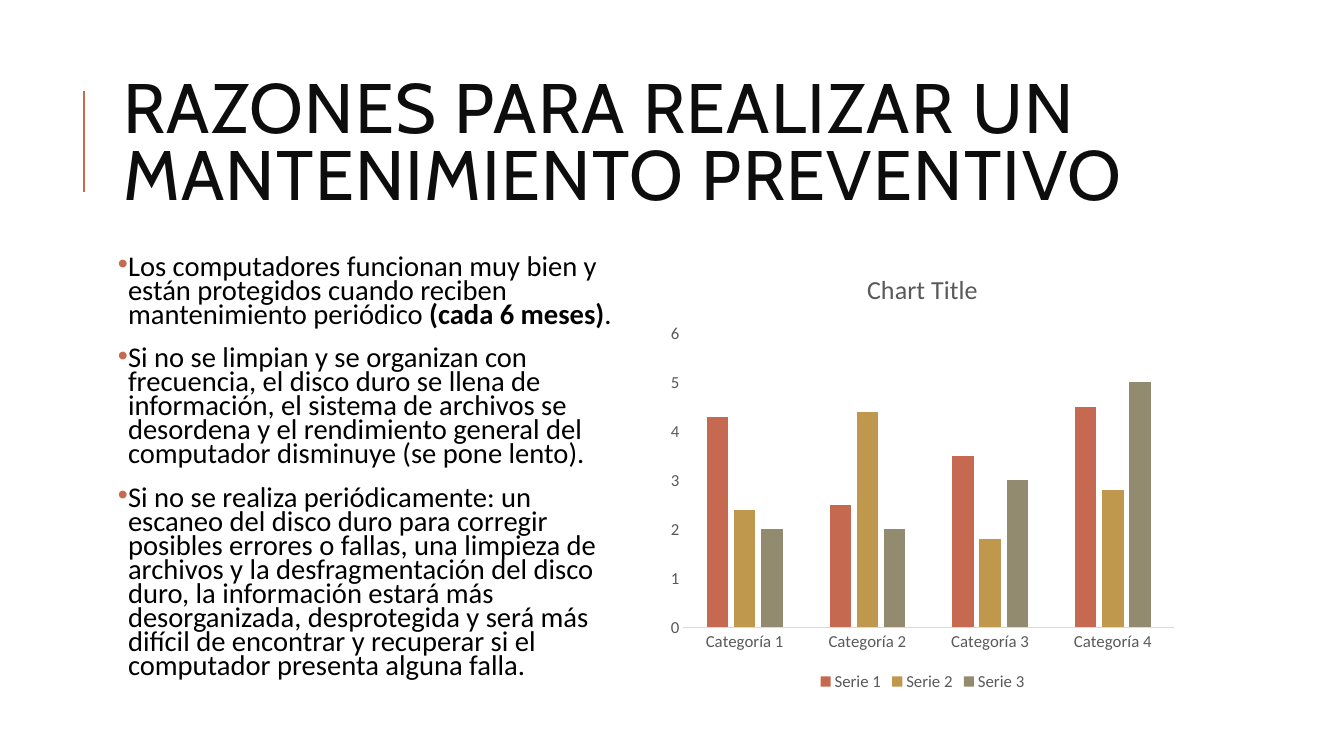
import pptx
import pptx.chart.data
import pptx.dml.color
import pptx.enum.chart
import pptx.enum.shapes
import pptx.enum.text
import pptx.oxml
import pptx.oxml.ns
import pptx.util
from pptx.util import Inches

# Content
TITLE = "RAZONES PARA REALIZAR UN MANTENIMIENTO PREVENTIVO"
REASONS = [  # each paragraph is a list of (text, bold)
    [("Los computadores funcionan muy bien y están protegidos cuando reciben "
      "mantenimiento periódico ", False), ("(cada 6 meses)", True), (".", False)],
    [("Si no se limpian y se organizan con frecuencia, el disco duro se llena de "
      "información, el sistema de archivos se desordena y el rendimiento general "
      "del computador disminuye (se pone lento).", False)],
    [("Si no se realiza periódicamente: un escaneo del disco duro para corregir "
      "posibles errores o fallas, una limpieza de archivos y la desfragmentación "
      "del disco duro, la información estará más desorganizada, desprotegida y "
      "será más difícil de encontrar y recuperar si el computador presenta "
      "alguna falla.", False)],
]
CHART_TITLE = "Chart Title"
CATEGORIES = ["Categoría 1", "Categoría 2", "Categoría 3", "Categoría 4"]
SERIES = {
    "Serie 1": (4.3, 2.5, 3.5, 4.5),
    "Serie 2": (2.4, 4.4, 1.8, 2.8),
    "Serie 3": (2, 2, 3, 5),
}


class Theme:
    accent = "C66951"
    series = [accent, "BF974D", "928B70"]
    title_color, text_color = "0D0D0D", "000000"
    chart_text, axis_line = "595959", "D9D9D9"
    title_font, body_font = "Cabin", "Calibri"
    title_size, body_size = 50, 20.4
    chart_title_size, label_size = 18.6, 12


# Layout in inches
LEFT, COLUMN_TOP, COLUMN_WIDTH, COLUMN_HEIGHT = 1.12, 2.5, 5.2, 4.4
CONTENT_WIDTH = 10.63
CHART_LEFT = LEFT + CONTENT_WIDTH - COLUMN_WIDTH


def rgb(value):
    return pptx.dml.color.RGBColor.from_string(value)


def style_font(font, name, size, color, bold=False):
    font.name, font.size, font.bold = name, pptx.util.Pt(size), bold
    font.color.rgb = rgb(color)


def style_chart_font(font, size=Theme.label_size):
    style_font(font, Theme.body_font, size, Theme.chart_text)


def add_bullet(para):
    properties = para._p.get_or_add_pPr()
    properties.set("marL", str(Inches(0.1)))
    properties.set("indent", str(Inches(-0.1)))
    namespace = pptx.oxml.ns.nsdecls("a")
    for markup in (
        f'<a:buClr {namespace}><a:srgbClr val="{Theme.accent}"/></a:buClr>',
        f'<a:buFont {namespace} typeface="Arial"/>',
        f'<a:buChar {namespace} char="•"/>',
    ):
        properties.append(pptx.oxml.parse_xml(markup))


def add_title(page):
    title = page.shapes.title
    title.left, title.top = Inches(LEFT), Inches(0.64)
    title.width, title.height = Inches(CONTENT_WIDTH), Inches(1.64)
    frame = title.text_frame
    frame.text = TITLE
    frame.word_wrap = True
    frame.auto_size = pptx.enum.text.MSO_AUTO_SIZE.NONE
    frame.vertical_anchor = pptx.enum.text.MSO_ANCHOR.MIDDLE
    para = frame.paragraphs[0]
    para.alignment = pptx.enum.text.PP_ALIGN.LEFT
    para.line_spacing = 0.8
    span = para.runs[0]
    style_font(span.font, Theme.title_font, Theme.title_size, Theme.title_color)
    span._r.get_or_add_rPr().set("spc", "100")


def add_accent_line(page):
    line = page.shapes.add_connector(
        pptx.enum.shapes.MSO_CONNECTOR.STRAIGHT,
        Inches(0.83), Inches(1.9), Inches(0.83), Inches(0.9))
    line.line.color.rgb = rgb(Theme.accent)
    line.line.width = pptx.util.Pt(1.5)
    line._element.spPr.append(pptx.oxml.parse_xml(
        f'<a:effectLst {pptx.oxml.ns.nsdecls("a")}/>'))


def add_reasons(page):
    box = page.shapes.add_textbox(Inches(LEFT), Inches(COLUMN_TOP),
                                  Inches(COLUMN_WIDTH), Inches(COLUMN_HEIGHT))
    frame = box.text_frame
    frame.word_wrap = True
    frame.margin_left = frame.margin_right = Inches(0.05)
    frame.margin_top = frame.margin_bottom = Inches(0.05)
    for index, reason in enumerate(REASONS):
        para = frame.add_paragraph() if index else frame.paragraphs[0]
        para.line_spacing = 0.7
        para.space_before, para.space_after = pptx.util.Pt(12), pptx.util.Pt(2)
        add_bullet(para)
        for text, bold in reason:
            span = para.add_run()
            span.text = text
            style_font(span.font, Theme.body_font, Theme.body_size,
                       Theme.text_color, bold)


def add_series_chart(page):
    data = pptx.chart.data.CategoryChartData()
    data.categories = CATEGORIES
    for name, values in SERIES.items():
        data.add_series(name, values)
    chart = page.shapes.add_chart(
        pptx.enum.chart.XL_CHART_TYPE.COLUMN_CLUSTERED,
        Inches(CHART_LEFT), Inches(COLUMN_TOP),
        Inches(COLUMN_WIDTH), Inches(COLUMN_HEIGHT), data).chart
    style_chart_font(chart.font)

    # Title and legend
    chart.has_title = True
    heading = chart.chart_title.text_frame
    heading.text = CHART_TITLE
    style_chart_font(heading.paragraphs[0].runs[0].font, Theme.chart_title_size)
    chart.chart_title.include_in_layout = False
    chart.has_legend = True
    chart.legend.position = pptx.enum.chart.XL_LEGEND_POSITION.BOTTOM
    chart.legend.include_in_layout = False
    style_chart_font(chart.legend.font)

    # Columns
    plot = chart.plots[0]
    plot.vary_by_categories = False
    plot.gap_width, plot.overlap = 219, -27
    for series, color in zip(plot.series, Theme.series):
        series.format.fill.solid()
        series.format.fill.fore_color.rgb = rgb(color)

    # Axes
    for axis in (chart.category_axis, chart.value_axis):
        axis.has_major_gridlines = False
        axis.major_tick_mark = pptx.enum.chart.XL_TICK_MARK.NONE
        axis.minor_tick_mark = pptx.enum.chart.XL_TICK_MARK.NONE
        style_chart_font(axis.tick_labels.font)
    chart.category_axis.format.line.color.rgb = rgb(Theme.axis_line)
    chart.category_axis.format.line.width = pptx.util.Pt(0.75)
    values = chart.value_axis
    values.format.line.fill.background()
    values.minimum_scale, values.maximum_scale, values.major_unit = 0, 6, 1


def main():
    deck = pptx.Presentation()
    deck.slide_width, deck.slide_height = Inches(13.33), Inches(7.5)
    page = deck.slides.add_slide(deck.slide_layouts[5])
    add_accent_line(page)
    add_title(page)
    add_reasons(page)
    add_series_chart(page)
    deck.save("out.pptx")


if __name__ == "__main__":
    main()
